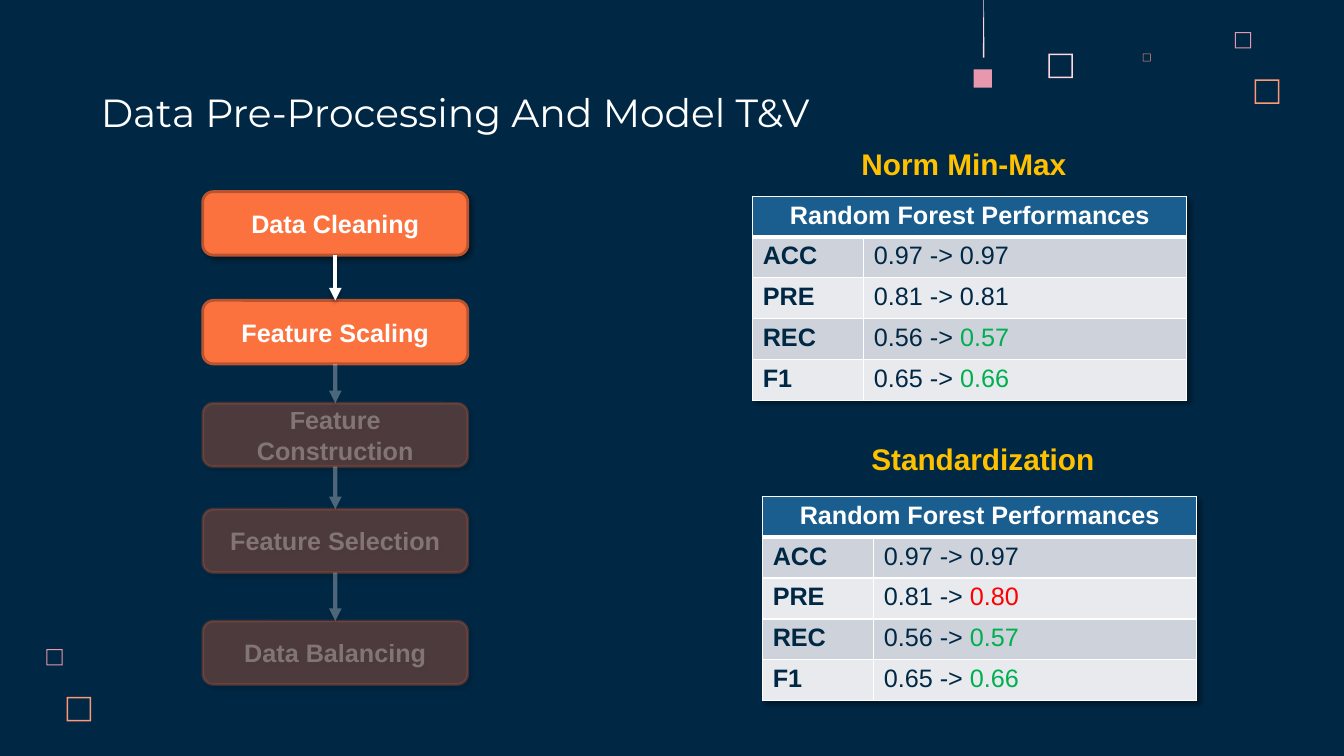
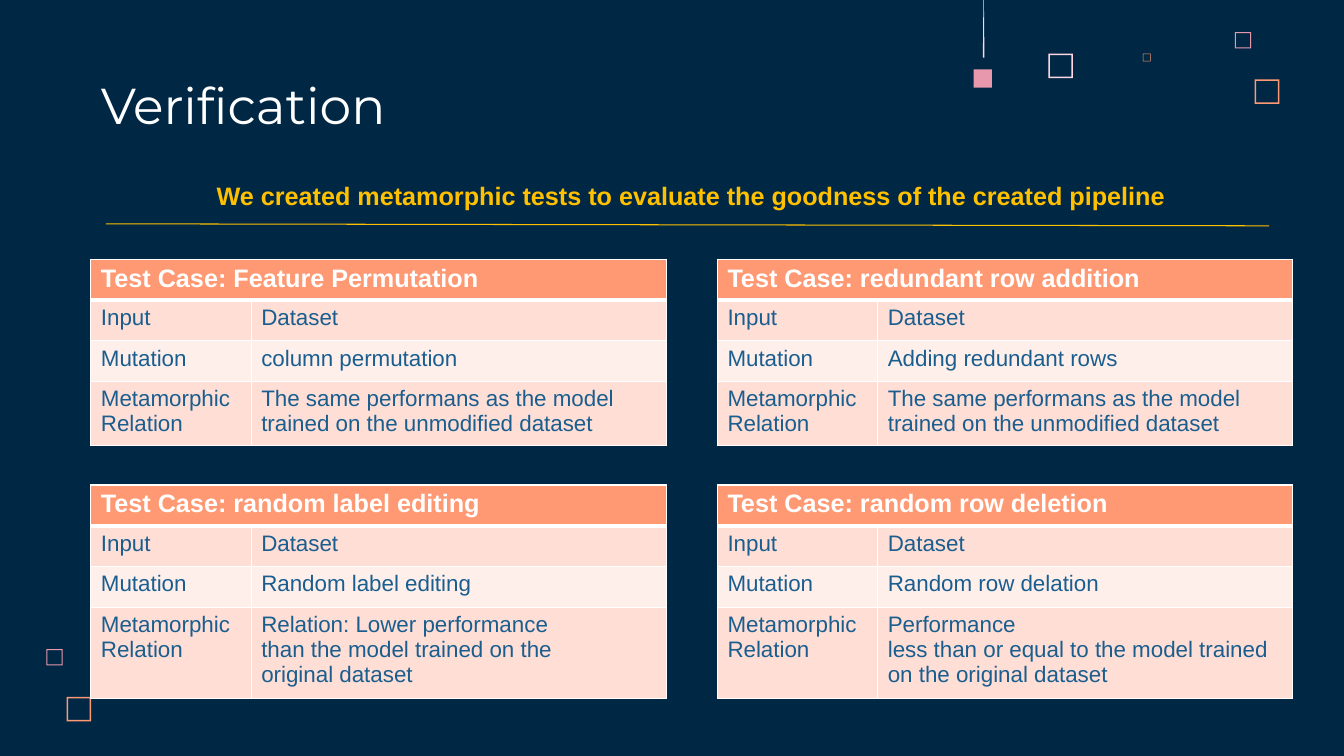
from dataclasses import dataclass
from itertools import pairwise

from lxml import etree
from pptx import Presentation
from pptx.dml.color import RGBColor
from pptx.enum.shapes import MSO_CONNECTOR, MSO_SHAPE
from pptx.enum.text import MSO_ANCHOR, PP_ALIGN
from pptx.oxml.ns import qn
from pptx.util import Cm, Pt

CENTER = PP_ALIGN.CENTER
TOP, MIDDLE, BOTTOM = MSO_ANCHOR.TOP, MSO_ANCHOR.MIDDLE, MSO_ANCHOR.BOTTOM
STRAIGHT = MSO_CONNECTOR.STRAIGHT
ROUNDED, FRAME = MSO_SHAPE.ROUNDED_RECTANGLE, MSO_SHAPE.FRAME
SQUARE, NEEDLE = MSO_SHAPE.RECTANGLE, MSO_SHAPE.ISOSCELES_TRIANGLE
SIDE_TOP, SIDE_BOTTOM = 0, 2


@dataclass(frozen=True)
class Theme:
    background: str = "002845"
    white: str = "FFFFFF"
    gold: str = "FFC000"
    orange: str = "FC723F"
    orange_edge: str = "BA542F"
    peach: str = "FF9973"
    pink: str = "E898AC"
    pale_pink: str = "FFD6E1"
    blue: str = "1A5E8F"
    better: str = "00B050"
    worse: str = "FF0000"
    gray_bands: tuple[str, str] = ("CDD2DB", "E8EAEE")
    peach_bands: tuple[str, str] = ("FFDED5", "FFEFEB")
    title_font: str = "Montserrat"
    body_font: str = "Arial"
    large_title: float = 36
    title: float = 28
    heading: float = 21.3
    body: float = 18
    small: float = 16
    faded: int = 30


THEME = Theme()


@dataclass(frozen=True)
class Shadow:
    opacity: int
    blur: float
    distance: float
    angle: int


BOX_SHADOW = Shadow(40, 4, 3, 45)
ARROW_SHADOW = Shadow(35, 3.1, 1.8, 90)


@dataclass(frozen=True)
class Ornament:
    preset: int
    left: float
    top: float
    width: float
    height: float
    color: str


ORNAMENTS = (
    Ornament(FRAME, 26.42, 1.35, 0.62, 0.62, THEME.pale_pink),
    Ornament(FRAME, 31.12, 0.81, 0.41, 0.41, THEME.pink),
    Ornament(FRAME, 28.8, 1.35, 0.2, 0.2, THEME.peach),
    Ornament(FRAME, 31.62, 2, 0.62, 0.62, THEME.peach),
    Ornament(SQUARE, 24.54, 1.75, 0.46, 0.46, THEME.pink),
    Ornament(NEEDLE, 24.77, -0.61, 0.04, 2.06, THEME.pale_pink),
    Ornament(FRAME, 1.17, 16.36, 0.41, 0.41, THEME.pink),
    Ornament(FRAME, 1.68, 17.56, 0.62, 0.62, THEME.peach),
)


@dataclass(frozen=True)
class Step:
    label: str
    top: float
    active: bool = False
    shadow: bool = True


STEPS = (
    Step("Data Cleaning", 4.83, active=True),
    Step("Feature Scaling", 7.57, active=True, shadow=False),
    Step("Feature Construction", 10.16),
    Step("Feature Selection", 12.83),
    Step("Data Balancing", 15.65),
)

BASELINE = {"ACC": 0.97, "PRE": 0.81, "REC": 0.56, "F1": 0.65}


@dataclass(frozen=True)
class Experiment:
    name: str
    left: float
    heading_top: float
    table_top: float
    results: tuple[float, ...]


EXPERIMENTS = (
    Experiment("Norm Min-Max", 18.97, 3.28, 4.95, (0.97, 0.81, 0.57, 0.66)),
    Experiment("Standardization", 19.22, 10.72, 12.52, (0.97, 0.80, 0.57, 0.66)),
)


@dataclass(frozen=True)
class TestCase:
    name: str
    mutation: str
    relation: str


SAME_PERFORMANCE = "The same performans as the model trained on the unmodified dataset"
TEST_CASES = (
    TestCase("Feature Permutation", "column permutation", SAME_PERFORMANCE),
    TestCase("redundant row addition", "Adding redundant rows", SAME_PERFORMANCE),
    TestCase("random label editing", "Random label editing",
             "Relation: Lower performance\nthan the model trained on the\noriginal dataset"),
    TestCase("random row deletion", "Random row delation",
             "Performance\nless than or equal to the model trained\non the original dataset"),
)


def rgb(color: str) -> RGBColor:
    return RGBColor.from_string(color)


def set_opacity(element, percent: int) -> None:
    for color in element.iter(qn("a:srgbClr")):
        etree.SubElement(color, qn("a:alpha"), val=str(percent * 1000))


def fill_effects(effects, shadow: Shadow) -> None:
    outer = etree.SubElement(
        effects, qn("a:outerShdw"), blurRad=str(Pt(shadow.blur)),
        dist=str(Pt(shadow.distance)), dir=str(shadow.angle * 60000),
        algn="tl", rotWithShape="0")
    color = etree.SubElement(outer, qn("a:srgbClr"), val="000000")
    etree.SubElement(color, qn("a:alpha"), val=str(shadow.opacity * 1000))


def write_text(frame, text: str, *, color: str, size: float = THEME.body,
               font: str = THEME.body_font, bold: bool = False, align=None,
               line_spacing: float | None = None, opacity: int = 100) -> None:
    for index, line in enumerate(text.split("\n")):
        paragraph = frame.add_paragraph() if index else frame.paragraphs[-1]
        if align is not None:
            paragraph.alignment = align
        if line_spacing is not None:
            paragraph.line_spacing = line_spacing
        run = paragraph.add_run()
        run.text = line
        run.font.name = font
        run.font.size = Pt(size)
        run.font.bold = bold
        run.font.color.rgb = rgb(color)
        if opacity < 100:
            set_opacity(run.font._element, opacity)


def add_text_frame(slide, left: float, top: float, width: float, height: float, *,
                   anchor=TOP, margin: float = 0.25, indent: float = 0):
    frame = slide.shapes.add_textbox(Cm(left), Cm(top), Cm(width), Cm(height)).text_frame
    frame.word_wrap = True
    frame.vertical_anchor = anchor
    frame.margin_left = Cm(0.25 + indent)
    frame.margin_right = Cm(0.25)
    frame.margin_top = frame.margin_bottom = Cm(margin)
    return frame


def add_preset(slide, preset: int, left: float, top: float, width: float,
               height: float, color: str):
    shape = slide.shapes.add_shape(preset, Cm(left), Cm(top), Cm(width), Cm(height))
    shape.shadow.inherit = False
    shape.fill.solid()
    shape.fill.fore_color.rgb = rgb(color)
    shape.line.fill.background()
    return shape


def add_base_slide(presentation, title: str, size: float):
    slide = presentation.slides.add_slide(presentation.slide_layouts[6])
    slide.background.fill.solid()
    slide.background.fill.fore_color.rgb = rgb(THEME.background)
    for item in ORNAMENTS:
        shape = add_preset(slide, item.preset, item.left, item.top, item.width,
                           item.height, item.color)
        if item.preset == FRAME:
            shape.adjustments[0] = 0.06
    frame = add_text_frame(slide, 2.29, 1.52, 26.09, 2.13, anchor=BOTTOM)
    write_text(frame, title, color=THEME.white, size=size, font=THEME.title_font)
    return slide


def add_step(slide, step: Step):
    opacity = 100 if step.active else THEME.faded
    shape = add_preset(slide, ROUNDED, 5.11, step.top, 6.68, 1.6, THEME.orange)
    shape.line.color.rgb = rgb(THEME.orange_edge)
    shape.line.width = Pt(2)
    properties = shape._element.spPr
    if not step.active:
        set_opacity(properties, opacity)
    if step.shadow:
        fill_effects(properties.find(qn("a:effectLst")), BOX_SHADOW)
    shape.text_frame.word_wrap = True
    shape.text_frame.vertical_anchor = MIDDLE
    write_text(shape.text_frame, step.label, color=THEME.white, bold=True,
               align=CENTER, opacity=opacity)
    return shape


def add_line(slide, start: tuple[float, float], end: tuple[float, float],
             color: str, width: float):
    points = (Cm(value) for value in (*start, *end))
    connector = slide.shapes.add_connector(STRAIGHT, *points)
    connector.line.color.rgb = rgb(color)
    connector.line.width = Pt(width)
    etree.SubElement(connector._element.spPr, qn("a:effectLst"))
    return connector


def add_step_arrow(slide, upper, lower, active: bool) -> None:
    connector = add_line(slide, (0, 0), (0, 0), THEME.white, 3)
    connector.begin_connect(upper, SIDE_BOTTOM)
    connector.end_connect(lower, SIDE_TOP)
    properties = connector._element.spPr
    if not active:
        set_opacity(properties, THEME.faded)
    etree.SubElement(properties.find(qn("a:ln")), qn("a:tailEnd"), type="triangle")
    fill_effects(properties.find(qn("a:effectLst")), ARROW_SHADOW)


def style_cell(cell, color: str, row: int) -> None:
    cell.fill.solid()
    cell.fill.fore_color.rgb = rgb(color)
    thick_side = {0: "lnB", 1: "lnT"}.get(row)
    for index, side in enumerate(("lnL", "lnR", "lnT", "lnB")):
        line = etree.Element(qn(f"a:{side}"), w=str(Pt(3 if side == thick_side else 1)))
        solid = etree.SubElement(line, qn("a:solidFill"))
        etree.SubElement(solid, qn("a:srgbClr"), val=THEME.white)
        cell._tc.get_or_add_tcPr().insert(index, line)


def add_titled_table(slide, left: float, top: float, columns: tuple[float, ...],
                     rows: tuple[float, ...], title: str, header: str,
                     bands: tuple[str, str], align=None):
    table = slide.shapes.add_table(len(rows), len(columns), Cm(left), Cm(top),
                                   Cm(sum(columns)), Cm(sum(rows))).table
    for column, width in zip(table.columns, columns):
        column.width = Cm(width)
    for index, height in enumerate(rows):
        table.rows[index].height = Cm(height)
        for cell in table.rows[index].cells:
            style_cell(cell, bands[(index - 1) % 2] if index else header, index)
    table.cell(0, 0).merge(table.cell(0, len(columns) - 1))
    write_text(table.cell(0, 0).text_frame, title, color=THEME.white, bold=True, align=align)
    return table


def add_experiment(slide, experiment: Experiment) -> None:
    heading = add_text_frame(slide, experiment.left + 1.93, experiment.heading_top,
                             7.06, 1.5, indent=0.56)
    write_text(heading, experiment.name, color=THEME.gold, size=THEME.heading,
               bold=True, line_spacing=1.15)
    table = add_titled_table(
        slide, experiment.left, experiment.table_top, (2.8, 8.14),
        (0.97,) + (1.03,) * len(BASELINE), "Random Forest Performances",
        THEME.blue, THEME.gray_bands, CENTER)
    effects = etree.Element(qn("a:effectLst"))
    fill_effects(effects, BOX_SHADOW)
    table._tbl.tblPr.insert(0, effects)
    results = zip(BASELINE.items(), experiment.results)
    for row, ((metric, before), after) in enumerate(results, start=1):
        color = THEME.background
        if after != before:
            color = THEME.better if after > before else THEME.worse
        write_text(table.cell(row, 0).text_frame, metric, color=THEME.background, bold=True)
        value = table.cell(row, 1).text_frame
        write_text(value, f"{before:.2f} -> ", color=THEME.background)
        write_text(value, f"{after:.2f}", color=color)


def add_test_case(slide, case: TestCase, left: float, top: float, last_row: float) -> None:
    table = add_titled_table(
        slide, left, top, (4.04, 10.46), (1.03, 1.03, 1.03, last_row),
        f"Test Case: {case.name}", THEME.peach, THEME.peach_bands)
    entries = (("Input", "Dataset"), ("Mutation", case.mutation),
               ("Metamorphic Relation", case.relation))
    for row, entry in enumerate(entries, start=1):
        for column, text in enumerate(entry):
            write_text(table.cell(row, column).text_frame, text,
                       color=THEME.blue, size=THEME.small)


def build_processing_slide(presentation) -> None:
    slide = add_base_slide(presentation, "Data Pre-Processing And Model T&V", THEME.title)
    boxes = [add_step(slide, step) for step in STEPS]
    for (upper, lower), step in zip(pairwise(boxes), STEPS[1:]):
        add_step_arrow(slide, upper, lower, step.active)
    for experiment in EXPERIMENTS:
        add_experiment(slide, experiment)


def build_verification_slide(presentation) -> None:
    slide = add_base_slide(presentation, "Verification", THEME.large_title)
    frame = add_text_frame(slide, 2.67, 4.42, 29.49, 1.03, margin=0.13)
    write_text(frame, "We created metamorphic tests to evaluate the goodness of the created pipeline",
               color=THEME.gold, bold=True, align=CENTER)
    add_line(slide, (2.67, 5.64), (31.98, 5.69), THEME.gold, 0.75)
    for index, case in enumerate(TEST_CASES):
        row, column = divmod(index, 2)
        add_test_case(slide, case, 2.29 + column * 15.79, 6.53 + row * 5.69, (1.61, 2.27)[row])


def main() -> None:
    presentation = Presentation()
    presentation.slide_width = Cm(33.87)
    presentation.slide_height = Cm(19.05)
    build_processing_slide(presentation)
    build_verification_slide(presentation)
    presentation.save("out.pptx")


if __name__ == "__main__":
    main()
